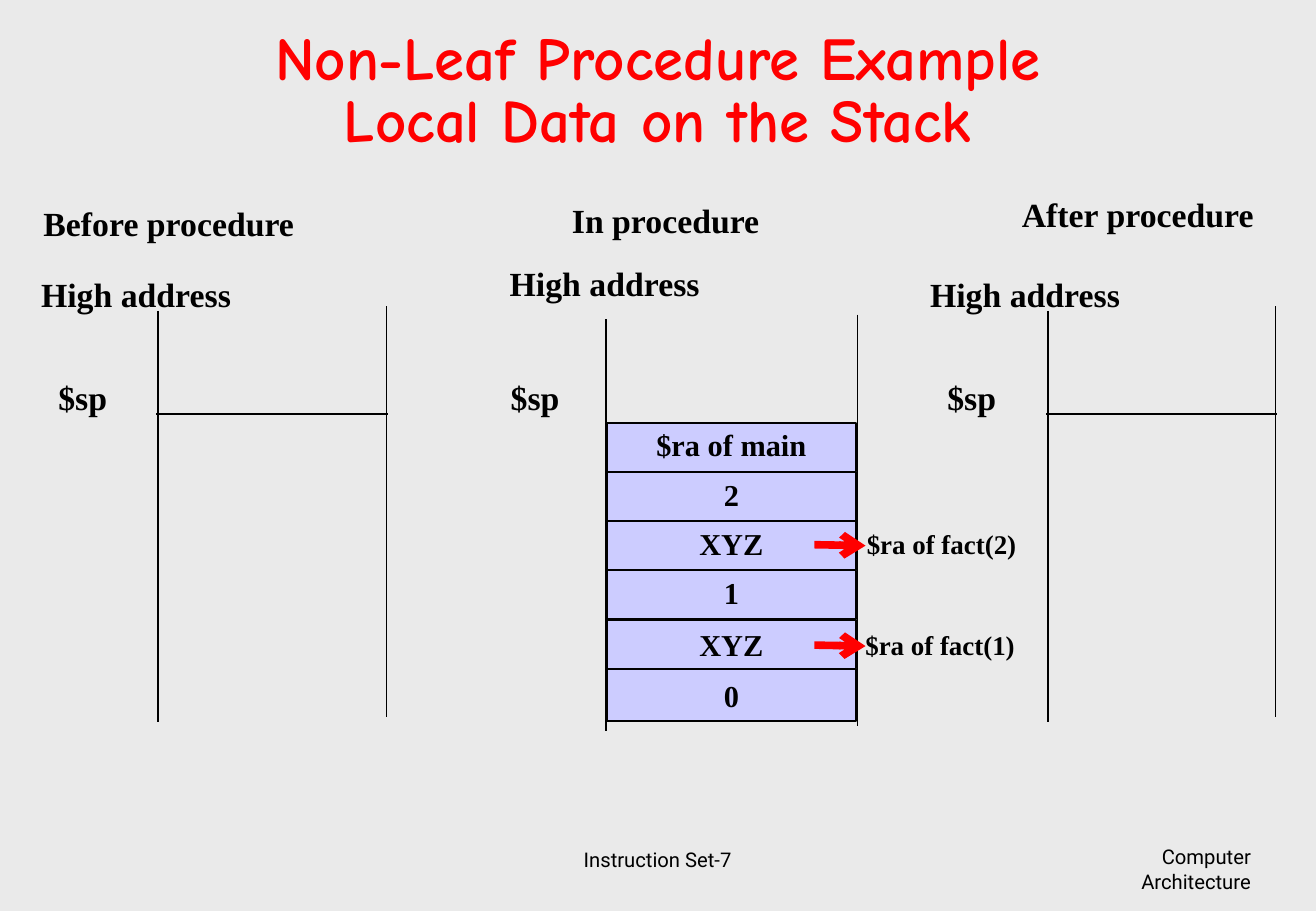
from pptx import Presentation
from pptx.dml.color import RGBColor
from pptx.enum.shapes import MSO_CONNECTOR as Link, MSO_SHAPE as Kind
from pptx.enum.text import MSO_ANCHOR as Anchor, PP_ALIGN as Align
from pptx.oxml.ns import qn
from pptx.util import Cm, Pt
from lxml.etree import SubElement

SERIF = "Times New Roman"


def write(shape, text, size, face=SERIF, bold=True, color="000000",
          align=Align.LEFT, wrap=False, anchor=Anchor.TOP):
    frame = shape.text_frame
    frame.text = text
    frame.word_wrap = wrap
    frame.vertical_anchor = anchor
    para = frame.paragraphs[0]
    para.alignment = align
    font = para.font
    font.size, font.name, font.bold = Pt(size), face, bold
    font.color.rgb = RGBColor.from_string(color)
    return para


def draw(x1, y1, x2, y2, color="000000", width=1):
    line = slide.shapes.add_connector(Link.STRAIGHT, Cm(x1), Cm(y1), Cm(x2), Cm(y2))
    line.line.color.rgb = RGBColor.from_string(color)
    line.line.width = Pt(width)
    SubElement(line._element.spPr, qn("a:effectLst"))
    return line


deck = Presentation()
deck.slide_width, deck.slide_height = Cm(27.52), Cm(19.05)
slide = deck.slides.add_slide(deck.slide_layouts[5])
fill = slide.background.fill
fill.solid()
fill.fore_color.rgb = RGBColor.from_string("EAEAEA")

title = slide.shapes.title
title.left, title.top, title.width, title.height = Cm(2.06), Cm(0.69), Cm(23.39), Cm(2.51)
para = write(title, "Non-Leaf Procedure Example\vLocal Data on the Stack", 36, "Comic Neue",
             color="FF0000", align=Align.CENTER, wrap=True, anchor=Anchor.MIDDLE)
para.line_spacing = 0.85

stacks = [(3.3, 8.08, 6.5), (12.67, 17.93, 6.68), (21.91, 26.67, 6.5)]
for left, right, top in stacks:
    draw(left, top, left, top + 8.6)
    draw(right, top - 0.1, right, top + 8.5)
for left, right, top in stacks[::2]:
    draw(left - 0.03, 8.66, right + 0.03, 8.66)

labels = [
    ("Before procedure", 0.66, 4.11, 5.97), ("In procedure", 11.71, 4.05, 4.47),
    ("After procedure", 21.12, 3.93, 5.59),
    ("High address", 0.61, 5.59, 4.5), ("High address", 10.41, 5.38, 4.5),
    ("High address", 19.2, 5.59, 4.5),
    ("$sp", 0.97, 7.75, 1.6), ("$sp", 10.43, 7.75, 1.6), ("$sp", 19.56, 7.75, 1.6),
]
for text, x, y, width in labels:
    write(slide.shapes.add_textbox(Cm(x), Cm(y), Cm(width), Cm(1.1)), text, 20)

for row, text in enumerate(["$ra of main", "2", "XYZ", "1", "XYZ", "0"]):
    high = 1.09 if row == 5 else 1.02
    cell = slide.shapes.add_shape(Kind.RECTANGLE, Cm(12.69), Cm(8.84 + 1.03 * row),
                                  Cm(5.21), Cm(high))
    cell.shadow.inherit = False
    cell.fill.solid()
    cell.fill.fore_color.rgb = RGBColor.from_string("CCCCFF")
    cell.line.color.rgb = RGBColor.from_string("000000")
    cell.line.width = Pt(1)
    para = write(cell, text, 18, align=Align.CENTER, anchor=Anchor.MIDDLE)
    if row < 4:
        para.line_spacing = 0.9

for text, x, y in [("$ra of fact(2)", 17.86, 10.91), ("$ra of fact(1)", 17.83, 13.01)]:
    note = slide.shapes.add_textbox(Cm(x), Cm(y), Cm(3.66), Cm(0.94))
    write(note, text, 16, align=Align.CENTER, wrap=True)
    arrow = draw(17.03, y + 0.48, 18.1, y + 0.5, "FF0000", 4.5)
    SubElement(arrow.line._get_or_add_ln(), qn("a:tailEnd"), type="arrow")

page = slide.shapes.add_textbox(Cm(9.4), Cm(17.34), Cm(8.71), Cm(1.27))
write(page, "Instruction Set-7", 12, "Roboto", False, align=Align.CENTER, anchor=Anchor.MIDDLE)
course = slide.shapes.add_textbox(Cm(22.6), Cm(17.54), Cm(3.81), Cm(1.27))
write(course, "Computer Architecture", 12, "Roboto", False, align=Align.RIGHT, wrap=True)

deck.save("out.pptx")
